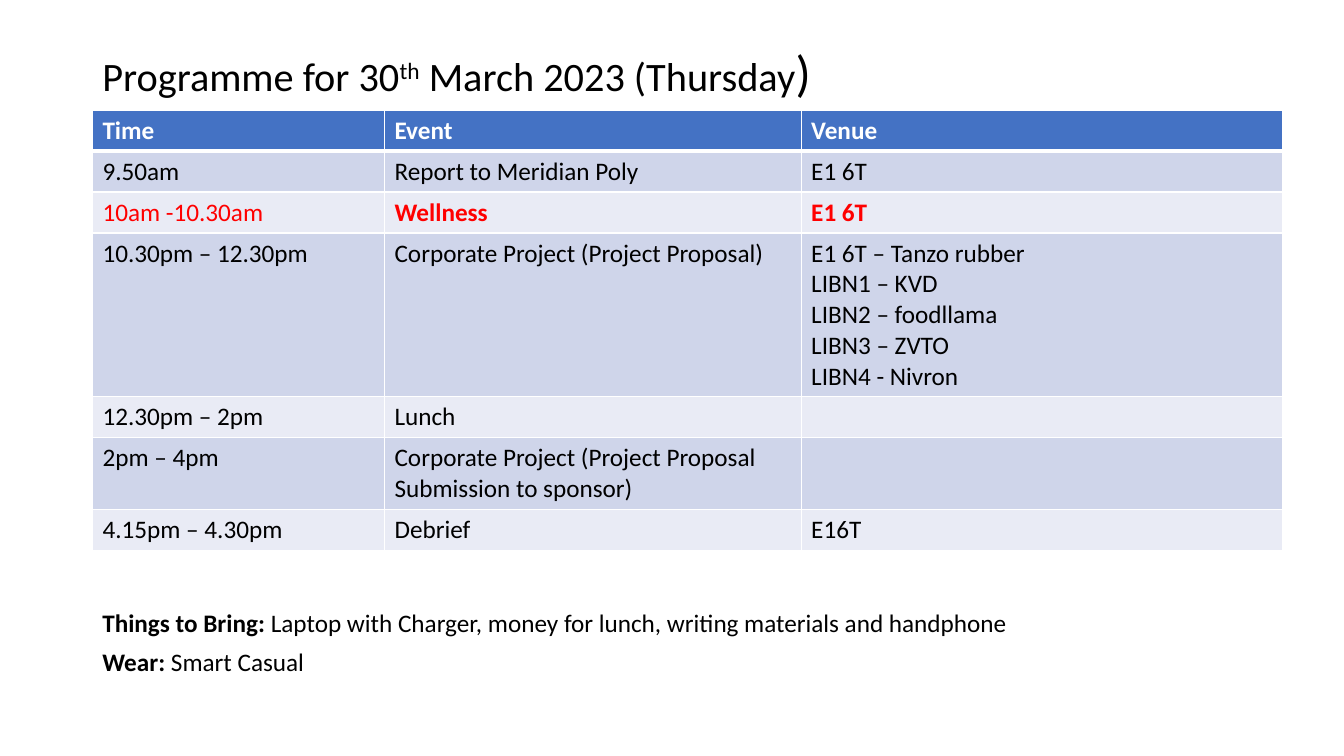
from lxml.etree import SubElement
from pptx import Presentation
from pptx.dml.color import RGBColor
from pptx.enum.text import MSO_ANCHOR as Anchor, MSO_AUTO_SIZE as AutoSize
from pptx.oxml.ns import qn
from pptx.util import Cm, Pt

BLACK = RGBColor(0x00, 0x00, 0x00)
WHITE = RGBColor(0xFF, 0xFF, 0xFF)
RED = RGBColor(0xFF, 0x00, 0x00)
BLUE = RGBColor(0x44, 0x72, 0xC4)
BAND_DARK = RGBColor(0xCF, 0xD5, 0xEA)
BAND_LIGHT = RGBColor(0xE9, 0xEB, 0xF5)

LEFT = 2.33
COLUMN_WIDTHS = (7.36, 10.5, 12.14)
ROW_HEIGHT = 1.03
HEADINGS = ("Time", "Event", "Venue")
PROGRAMME = [
    ("9.50am", "Report to Meridian Poly", "E1 6T"),
    ("10am -10.30am", "Wellness", "E1 6T"),
    ("10.30pm – 12.30pm", "Corporate Project (Project Proposal)",
     "E1 6T – Tanzo rubber\nLIBN1 – KVD\nLIBN2 – foodllama\n"
     "LIBN3 – ZVTO\nLIBN4 - Nivron"),
    ("12.30pm – 2pm", "Lunch", ""),
    ("2pm – 4pm",
     "Corporate Project (Project Proposal Submission to sponsor)", ""),
    ("4.15pm – 4.30pm", "Debrief", "E16T"),
]
HIGHLIGHTED_EVENT = "Wellness"


def add_text(paragraph, text, size=18, color=BLACK, bold=False, font="Calibri",
             baseline=None):
    """Append one formatted run to the paragraph."""
    run = paragraph.add_run()
    run.text = text
    run.font.name = font
    run.font.size = Pt(size)
    run.font.bold = bold
    run.font.color.rgb = color
    if baseline:
        run.font._element.set("baseline", str(baseline * 1000))


class ProgrammeSlide:
    """Holds the slide and draws its text lines and its table."""

    def __init__(self, slide):
        self.slide = slide

    def text_line(self, top, width, height, runs, anchor=Anchor.TOP,
                  line_spacing=None, auto_size=AutoSize.NONE):
        frame = self.slide.shapes.add_textbox(
            Cm(LEFT), Cm(top), Cm(width), Cm(height)).text_frame
        frame.word_wrap = True
        frame.auto_size = auto_size
        frame.vertical_anchor = anchor
        line = frame.paragraphs[0]
        line.line_spacing = line_spacing
        for text, style in runs:
            add_text(line, text, **style)

    def cell(self, cell, text, fill, top=1, bottom=1, **style):
        # Borders come before the fill in the cell properties
        properties = cell._tc.get_or_add_tcPr()
        for side, width in (("L", 1), ("R", 1), ("T", top), ("B", bottom)):
            border = SubElement(properties, qn(f"a:ln{side}"), w=str(Pt(width)))
            paint = SubElement(border, qn("a:solidFill"))
            SubElement(paint, qn("a:srgbClr"), val=str(WHITE))
        cell.fill.solid()
        cell.fill.fore_color.rgb = fill
        frame = cell.text_frame
        for number, line in enumerate(text.split("\n") if text else []):
            paragraph = frame.add_paragraph() if number else frame.paragraphs[0]
            add_text(paragraph, line, **style)

    def timetable(self, top):
        table = self.slide.shapes.add_table(
            len(PROGRAMME) + 1, len(HEADINGS), Cm(LEFT), Cm(top),
            Cm(sum(COLUMN_WIDTHS)), Cm(ROW_HEIGHT * (len(PROGRAMME) + 1))).table
        for column, width in zip(table.columns, COLUMN_WIDTHS):
            column.width = Cm(width)
        for row in table.rows:
            row.height = Cm(ROW_HEIGHT)

        for column, heading in enumerate(HEADINGS):
            self.cell(table.cell(0, column), heading, BLUE, bottom=3,
                      color=WHITE, bold=True)
        for row, entry in enumerate(PROGRAMME, start=1):
            highlighted = entry[1] == HIGHLIGHTED_EVENT
            for column, text in enumerate(entry):
                self.cell(table.cell(row, column), text,
                          BAND_DARK if row % 2 else BAND_LIGHT,
                          top=3 if row == 1 else 1,
                          color=RED if highlighted else BLACK,
                          bold=highlighted and column > 0)


def main():
    deck = Presentation()
    deck.slide_width, deck.slide_height = Cm(33.87), Cm(19.05)
    programme = ProgrammeSlide(deck.slides.add_slide(deck.slide_layouts[6]))

    # Title
    programme.text_line(1.02, 28.4, 1.75, [
        ("Programme for 30", {"size": 28.8}),
        ("th", {"size": 28.8, "baseline": 30}),
        (" March 2023 (Thursday", {"size": 28.8}),
        (")", {"size": 36}),
    ], anchor=Anchor.MIDDLE, line_spacing=0.9)

    # Timetable
    programme.timetable(2.78)

    # Reminders
    reminders = [
        (15.19, 28.85, "Things to Bring: ",
         "Laptop with Charger, money for lunch, writing materials and handphone"),
        (16.16, 28.4, "Wear: ", "Smart Casual"),
    ]
    for top, width, label, detail in reminders:
        programme.text_line(top, width, 1.03,
                            [(label, {"bold": True}), (detail, {})],
                            auto_size=AutoSize.SHAPE_TO_FIT_TEXT)

    deck.save("out.pptx")


if __name__ == "__main__":
    main()
